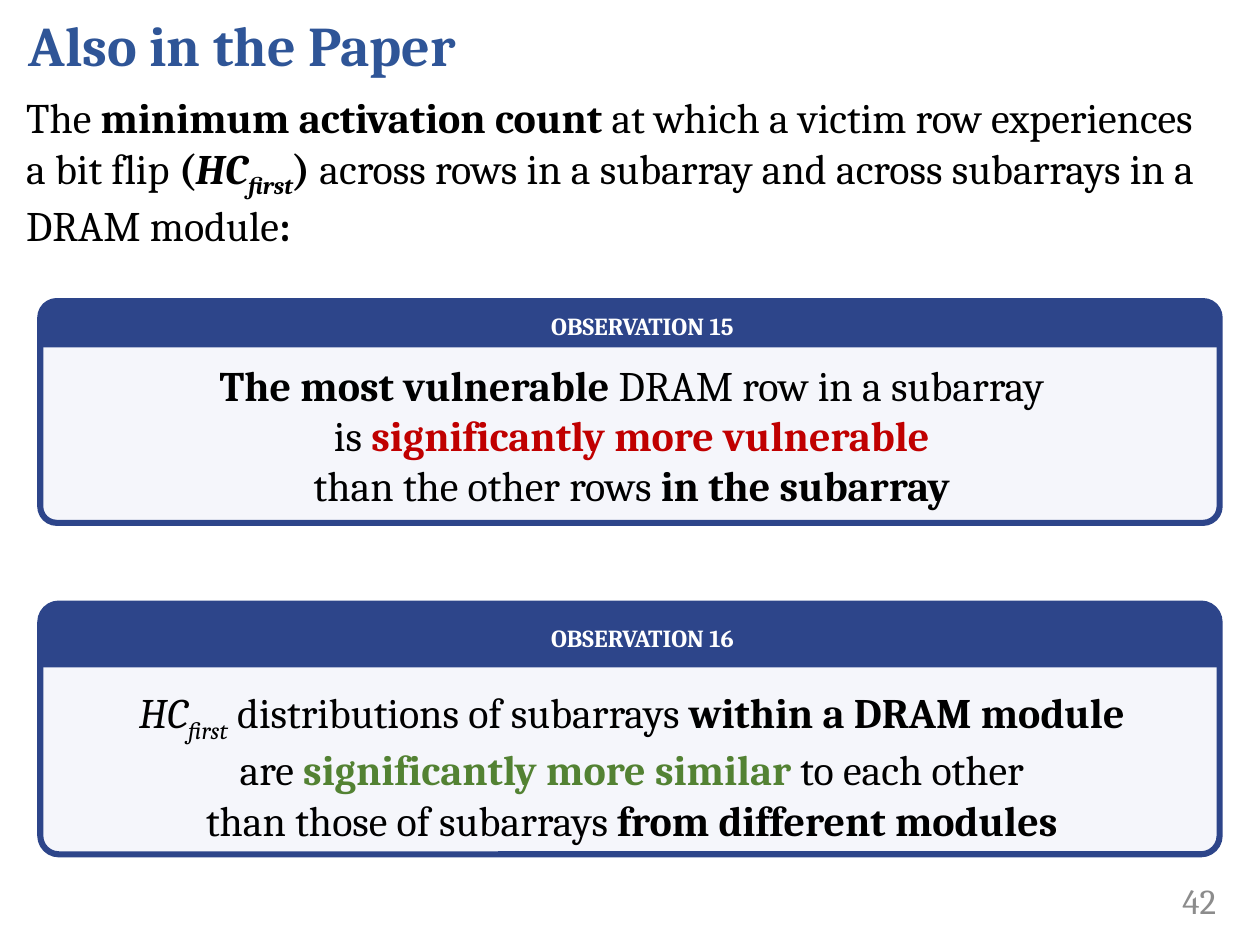
from dataclasses import dataclass

from pptx import Presentation
from pptx.dml.color import RGBColor
from pptx.enum.shapes import MSO_SHAPE as Shape
from pptx.enum.text import MSO_ANCHOR as Anchor, PP_ALIGN as Align
from pptx.util import Inches, Pt


@dataclass(frozen=True)
class Theme:
    font: str = "Cambria"
    title: str = "2F5597"
    text: str = "000000"
    frame: str = "2D458A"
    panel: str = "F5F6FB"
    white: str = "FFFFFF"
    muted: str = "8C8C8C"
    red: str = "C00000"
    green: str = "538233"
    title_size: int = 32
    body_size: int = 24
    number_size: int = 20
    label_size: int = 14


class SlideBuilder:
    def __init__(self, page, theme):
        self.page = page
        self.theme = theme

    def fill_text(self, frame, paragraphs, size, color, align=Align.LEFT,
                  anchor=Anchor.TOP, insets=(0.1, 0.05, 0.1, 0.05)):
        """Fill a frame; a span is (text, marks[, color]), marks from b, i, _ (subscript)."""
        frame.word_wrap = True
        frame.vertical_anchor = anchor
        (frame.margin_left, frame.margin_top,
         frame.margin_right, frame.margin_bottom) = map(Inches, insets)
        for index, spans in enumerate(paragraphs):
            para = frame.add_paragraph() if index else frame.paragraphs[0]
            para.alignment = align
            para.font.name = self.theme.font
            para.font.size = Pt(size)
            para.font.color.rgb = RGBColor.from_string(color)
            for text, marks, *accent in spans:
                span = para.add_run()
                span.text = text
                if "b" in marks:
                    span.font.bold = True
                if "i" in marks:
                    span.font.italic = True
                if "_" in marks:
                    span._r.get_or_add_rPr().set("baseline", "-25000")
                if accent:
                    span.font.color.rgb = RGBColor.from_string(accent[0])

    def text(self, area, paragraphs, size, color, parent=None, **style):
        box = (parent or self.page).shapes.add_textbox(*map(Inches, area))
        self.fill_text(box.text_frame, paragraphs, size, color, **style)
        return box

    def panel(self, parent, kind, area, fill, line_width, corner):
        shape = parent.shapes.add_shape(kind, *map(Inches, area))
        shape.shadow.inherit = False
        shape.adjustments[0] = corner
        shape.fill.solid()
        shape.fill.fore_color.rgb = RGBColor.from_string(fill)
        shape.line.color.rgb = RGBColor.from_string(self.theme.frame)
        shape.line.width = Pt(line_width)
        return shape

    def observation(self, label, top, height, header_height, text_top, paragraphs):
        theme = self.theme
        left, width = 0.32, 9.36
        card = self.page.shapes.add_group_shape()
        self.panel(card, Shape.ROUNDED_RECTANGLE, (left, top, width, height),
                   theme.panel, 3.5, 0.074)
        header = self.panel(card, Shape.ROUND_2_SAME_RECTANGLE,
                            (left, top, width, header_height), theme.frame, 1, 0.337)
        self.fill_text(header.text_frame, [[(label, "b")]], theme.label_size, theme.white,
                       align=Align.CENTER, anchor=Anchor.MIDDLE, insets=(0.2, 0, 0, 0))
        self.text((left, text_top, width, 1.31), paragraphs, theme.body_size, theme.text,
                  parent=card, align=Align.CENTER, insets=(0.2, 0.05, 0.1, 0.05))


def main():
    deck = Presentation()
    deck.slide_width, deck.slide_height = Inches(10), Inches(7.5)
    theme = Theme()
    builder = SlideBuilder(deck.slides.add_slide(deck.slide_layouts[6]), theme)

    # Page number
    builder.text((8.67, 6.95, 1.08, 0.4), [[("42", "")]], theme.number_size, theme.muted,
                 align=Align.RIGHT, anchor=Anchor.MIDDLE)

    # Title and introduction
    title = builder.text((0.13, 0, 9.31, 0.7), [[("Also in the Paper", "b")]],
                         theme.title_size, theme.title, anchor=Anchor.MIDDLE)
    title.text_frame.paragraphs[0].space_after = Pt(6)
    builder.text((0.11, 0.68, 9.57, 1.31), [[
        ("The ", ""),
        ("minimum activation count", "b"),
        (" at which a victim row experiences a bit flip ", ""),
        ("(", "b"), ("HC", "bi"), ("first", "bi_"), (") ", "b"),
        ("across rows in a subarray and across subarrays in a DRAM module", ""),
        (":", "b"),
    ]], theme.body_size, theme.text)

    # Observation cards
    builder.observation("OBSERVATION 15", 2.39, 1.76, 0.36, 2.8, [
        [("The most vulnerable ", "b"), ("DRAM row in a subarray ", "")],
        [("is ", ""), ("significantly more vulnerable ", "b", theme.red)],
        [("than the other rows ", ""), ("in the subarray ", "b")],
    ])
    builder.observation("OBSERVATION 16", 4.79, 1.99, 0.5, 5.4, [
        [("HC", "i"), ("first", "i_"), (" distributions of subarrays ", ""),
         ("within a DRAM module ", "b")],
        [("are ", ""), ("significantly more similar ", "b", theme.green),
         ("to each other ", "")],
        [("than those of subarrays ", ""), ("from different modules ", "b")],
    ])

    deck.save("out.pptx")


if __name__ == "__main__":
    main()
